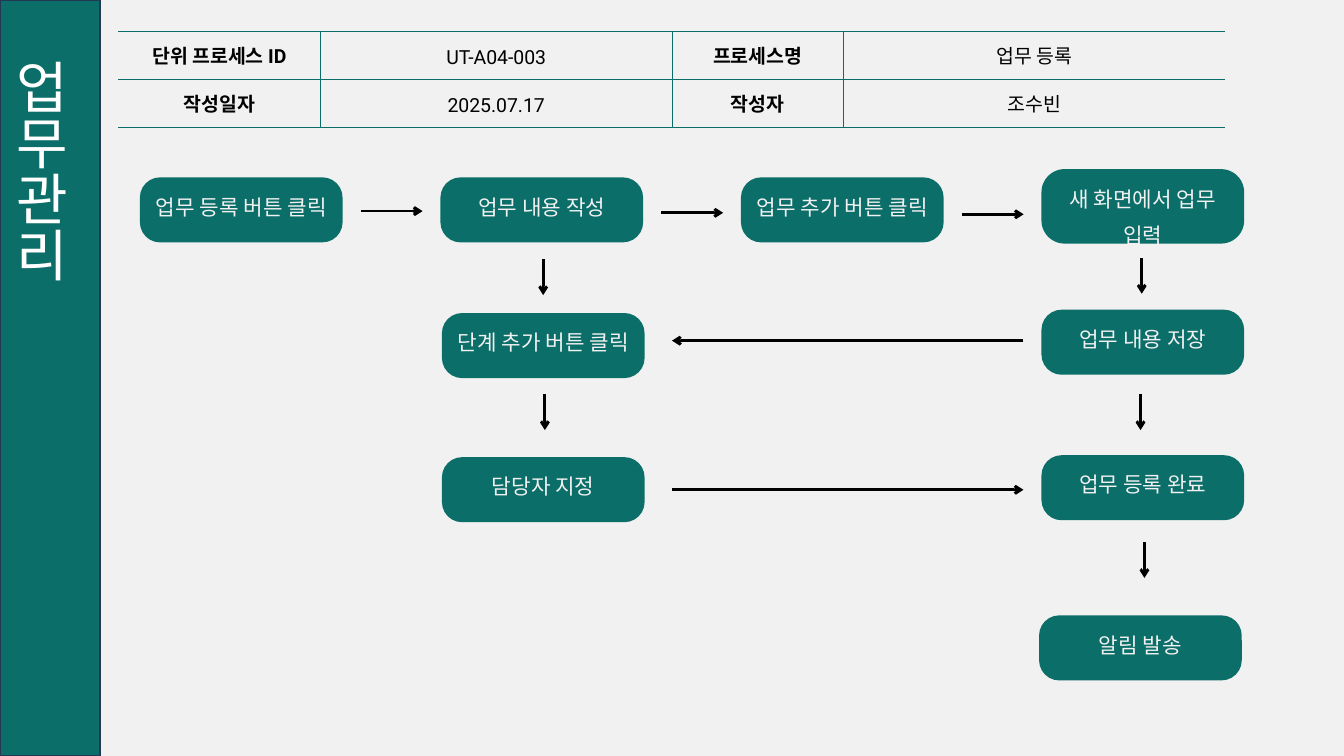
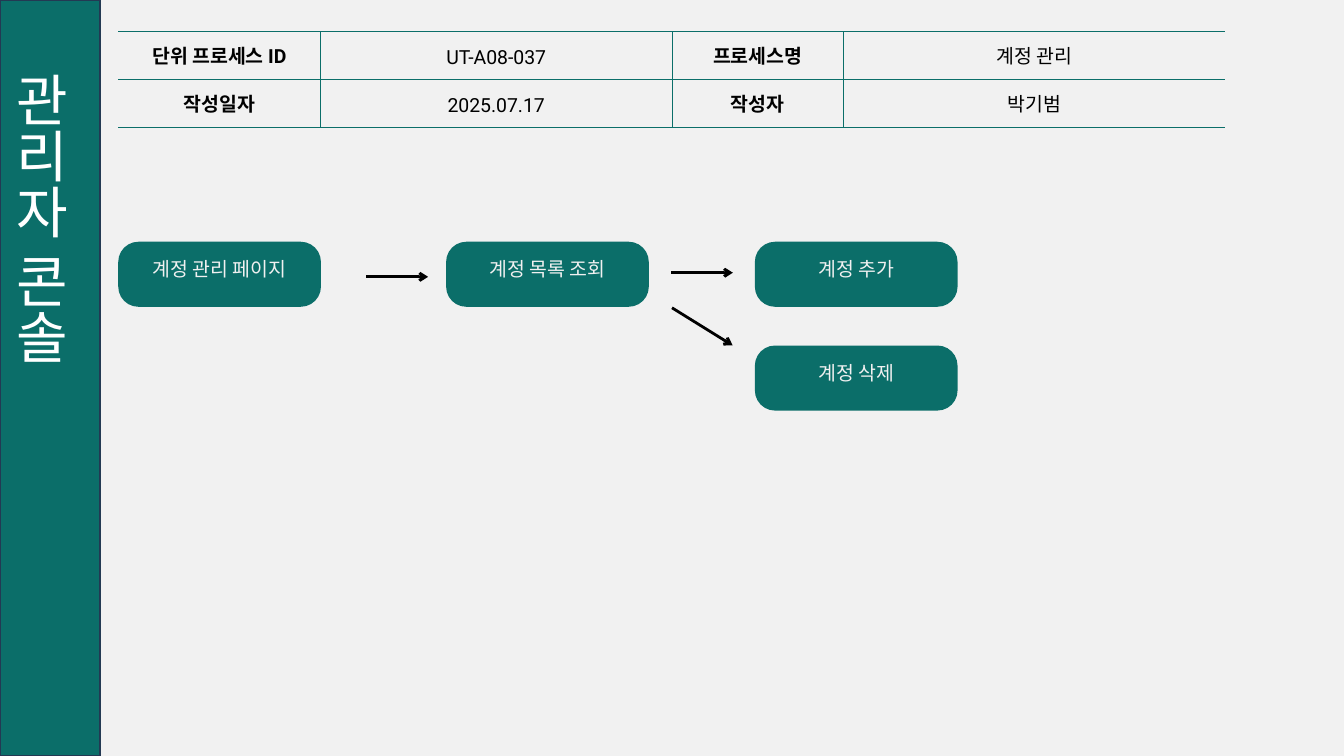
from dataclasses import dataclass

from lxml.etree import SubElement
from pptx import Presentation
from pptx.dml.color import RGBColor
from pptx.enum.shapes import MSO_CONNECTOR, MSO_SHAPE
from pptx.enum.text import MSO_ANCHOR, MSO_AUTO_SIZE, PP_ALIGN
from pptx.oxml import parse_xml
from pptx.oxml.ns import nsdecls, qn
from pptx.presentation import Presentation as Deck
from pptx.slide import Slide
from pptx.table import _Cell as Cell
from pptx.text.text import _Paragraph as Paragraph
from pptx.util import Pt

TEAL = RGBColor(0x0B, 0x6E, 0x69)
NAVY = RGBColor(0x23, 0x39, 0x53)
PALE = RGBColor(0xF1, 0xF1, 0xF1)
WHITE = RGBColor(0xFF, 0xFF, 0xFF)
BLACK = RGBColor(0x00, 0x00, 0x00)
BODY_FONT = "Roboto"
TITLE_FONT = "Calibri"

SLIDE_WIDTH, SLIDE_HEIGHT = 1440, 810
BAND_WIDTH = 107.3
HEADER_LEFT, HEADER_TOP = 126.7, 33.8
HEADER_COLUMNS = (216.7, 376.6, 183.6, 409)
HEADER_ROW = 51.3
STEP_WIDTH, STEP_HEIGHT = 217.2, 69.7
STEP_PITCH = 322
SHORT_RUN, SHORT_DROP = 66.2, 38.2
LONG_LEFT, LONG_RIGHT = 720, 1096.6


@dataclass(frozen=True)
class Step:
    label: str
    left: float
    top: float
    height: float = STEP_HEIGHT


@dataclass(frozen=True)
class Arrow:
    x: float
    y: float
    dx: float = 0
    dy: float = 0


@dataclass(frozen=True)
class Process:
    title: str
    title_indent: float
    code: str
    name: str
    author: str
    step_size: float
    step_spacing: float
    steps: list[Step]
    arrows: list[Arrow]


def column(index: int, first: float = 149.9) -> float:
    return first + STEP_PITCH * index


TASKS = Process(
    "업무관리", 60, "UT-A04-003", "업무 등록", "조수빈", 22.8, 38.6,
    [
        Step("업무 등록 버튼 클릭", column(0), 190),
        Step("업무 내용 작성", column(1), 190),
        Step("업무 추가 버튼 클릭", column(2), 190),
        Step("새 화면에서 업무\n입력", column(3), 181.2, 79.8),
        Step("업무 내용 저장", column(3), 331.8),
        Step("단계 추가 버튼 클릭", 473.5, 335.4),
        Step("담당자 지정", 473.5, 489.8),
        Step("업무 등록 완료", column(3), 487.7),
        Step("알림 발송", 1113.3, 659.3),
    ],
    [Arrow(column(i, 386.6), y, dx=SHORT_RUN) for i, y in enumerate((226.2, 228, 229.6))]
    + [
        Arrow(x, y, dy=SHORT_DROP)
        for x, y in ((582, 278), (1223.3, 276.5), (583.8, 422.6), (1222, 422.6), (1226.2, 581))
    ]
    + [
        Arrow(LONG_RIGHT, 365, dx=LONG_LEFT - LONG_RIGHT),
        Arrow(LONG_LEFT, 524.8, dx=LONG_RIGHT - LONG_LEFT),
    ],
)

ACCOUNTS = Process(
    "관리자 콘솔", 74, "UT-A08-037", "계정 관리", "박기범", 20.8, 35.2,
    [
        Step("계정 관리 페이지", 126.7, 259),
        Step("계정 목록 조회", 478, 259),
        Step("계정 추가", 808.8, 259),
        Step("계정 삭제", 808.8, 370.2),
    ],
    [
        Arrow(392.5, 296.6, dx=SHORT_RUN),
        Arrow(719, 292.2, dx=SHORT_RUN),
        Arrow(720, 329.8, dx=65, dy=40.3),
    ],
)


def format_text(paragraph: Paragraph, size: float, spacing: float,
                color: RGBColor, bold: bool = False) -> None:
    paragraph.alignment = PP_ALIGN.CENTER
    paragraph.line_spacing = Pt(spacing)
    for run in paragraph.runs:
        run.font.name = BODY_FONT
        run.font.size = Pt(size)
        run.font.bold = bold
        run.font.color.rgb = color


def draw_title(slide: Slide, process: Process) -> None:
    """Turn the title placeholder into the vertical band on the left."""
    band = slide.shapes.title
    band.left, band.top = Pt(0), Pt(0)
    band.width, band.height = Pt(BAND_WIDTH), Pt(SLIDE_HEIGHT)
    band.fill.solid()
    band.fill.fore_color.rgb = TEAL
    band.line.color.rgb = NAVY
    band.line.width = Pt(2)

    frame = band.text_frame
    frame.text = process.title
    frame.auto_size = MSO_AUTO_SIZE.NONE
    frame.vertical_anchor = MSO_ANCHOR.BOTTOM
    frame._txBody.bodyPr.set("vert", "eaVert")
    paragraph = frame.paragraphs[0]
    paragraph.alignment = PP_ALIGN.JUSTIFY
    properties = paragraph._p.get_or_add_pPr()
    properties.set("marL", str(Pt(process.title_indent)))
    properties.set("indent", "0")
    font = paragraph.runs[0].font
    font.name = TITLE_FONT
    font.size = Pt(60)
    font.color.rgb = WHITE


def set_borders(cell: Cell, hidden_side: str) -> None:
    properties = cell._tc.get_or_add_tcPr()
    for position, side in enumerate(("lnL", "lnR", "lnT", "lnB")):
        paint = (
            "<a:noFill/>" if side == hidden_side
            else f'<a:solidFill><a:srgbClr val="{TEAL}"/></a:solidFill>'
        )
        border = parse_xml(f'<a:{side} {nsdecls("a")} w="{Pt(0.75)}">{paint}</a:{side}>')
        properties.insert(position, border)


def draw_header(slide: Slide, process: Process) -> None:
    rows = (
        ("단위 프로세스 ID", process.code, "프로세스명", process.name),
        ("작성일자", "2025.07.17", "작성자", process.author),
    )
    table = slide.shapes.add_table(
        len(rows), len(HEADER_COLUMNS), Pt(HEADER_LEFT), Pt(HEADER_TOP),
        Pt(sum(HEADER_COLUMNS)), Pt(HEADER_ROW * len(rows)),
    ).table
    table.first_row = table.horz_banding = False
    for table_column, width in zip(table.columns, HEADER_COLUMNS):
        table_column.width = Pt(width)
    hidden_sides = {0: "lnL", len(HEADER_COLUMNS) - 1: "lnR"}
    for r, values in enumerate(rows):
        table.rows[r].height = Pt(HEADER_ROW)
        for c, value in enumerate(values):
            cell = table.cell(r, c)
            cell.text = value
            cell.vertical_anchor = MSO_ANCHOR.MIDDLE
            cell.margin_left = cell.margin_right = Pt(0.75)
            cell.margin_top = cell.margin_bottom = Pt(0.75)
            cell.fill.background()
            set_borders(cell, hidden_sides.get(c, ""))
            format_text(cell.text_frame.paragraphs[0], 20.8, 29.2, BLACK, bold=c % 2 == 0)


def draw_step(slide: Slide, step: Step, size: float, spacing: float) -> None:
    box = slide.shapes.add_shape(
        MSO_SHAPE.ROUNDED_RECTANGLE,
        Pt(step.left), Pt(step.top), Pt(STEP_WIDTH), Pt(step.height),
    )
    box.adjustments[0] = 0.31
    box.shadow.inherit = False
    box.fill.solid()
    box.fill.fore_color.rgb = TEAL
    box.line.fill.background()
    frame = box.text_frame
    frame.text = step.label
    frame.word_wrap = True
    frame.vertical_anchor = MSO_ANCHOR.TOP
    frame.margin_left = frame.margin_right = Pt(0)
    frame.margin_top = frame.margin_bottom = Pt(0)
    for paragraph in frame.paragraphs:
        format_text(paragraph, size, spacing, PALE)


def draw_arrow(slide: Slide, arrow: Arrow) -> None:
    connector = slide.shapes.add_connector(
        MSO_CONNECTOR.STRAIGHT, Pt(arrow.x), Pt(arrow.y),
        Pt(arrow.x + arrow.dx), Pt(arrow.y + arrow.dy),
    )
    connector.line.color.rgb = BLACK
    connector.line.width = Pt(3)
    SubElement(connector.line._get_or_add_ln(), qn("a:tailEnd"), type="arrow")
    SubElement(connector._element.spPr, qn("a:effectLst"))


def add_process(deck: Deck, process: Process) -> None:
    slide = deck.slides.add_slide(deck.slide_layouts.get_by_name("Title Only"))
    draw_title(slide, process)
    draw_header(slide, process)
    for step in process.steps:
        draw_step(slide, step, process.step_size, process.step_spacing)
    for arrow in process.arrows:
        draw_arrow(slide, arrow)


def main() -> None:
    deck = Presentation()
    deck.slide_width, deck.slide_height = Pt(SLIDE_WIDTH), Pt(SLIDE_HEIGHT)
    background = deck.slide_master.background.fill
    background.solid()
    background.fore_color.rgb = PALE
    for process in (TASKS, ACCOUNTS):
        add_process(deck, process)
    deck.save("out.pptx")


if __name__ == "__main__":
    main()
